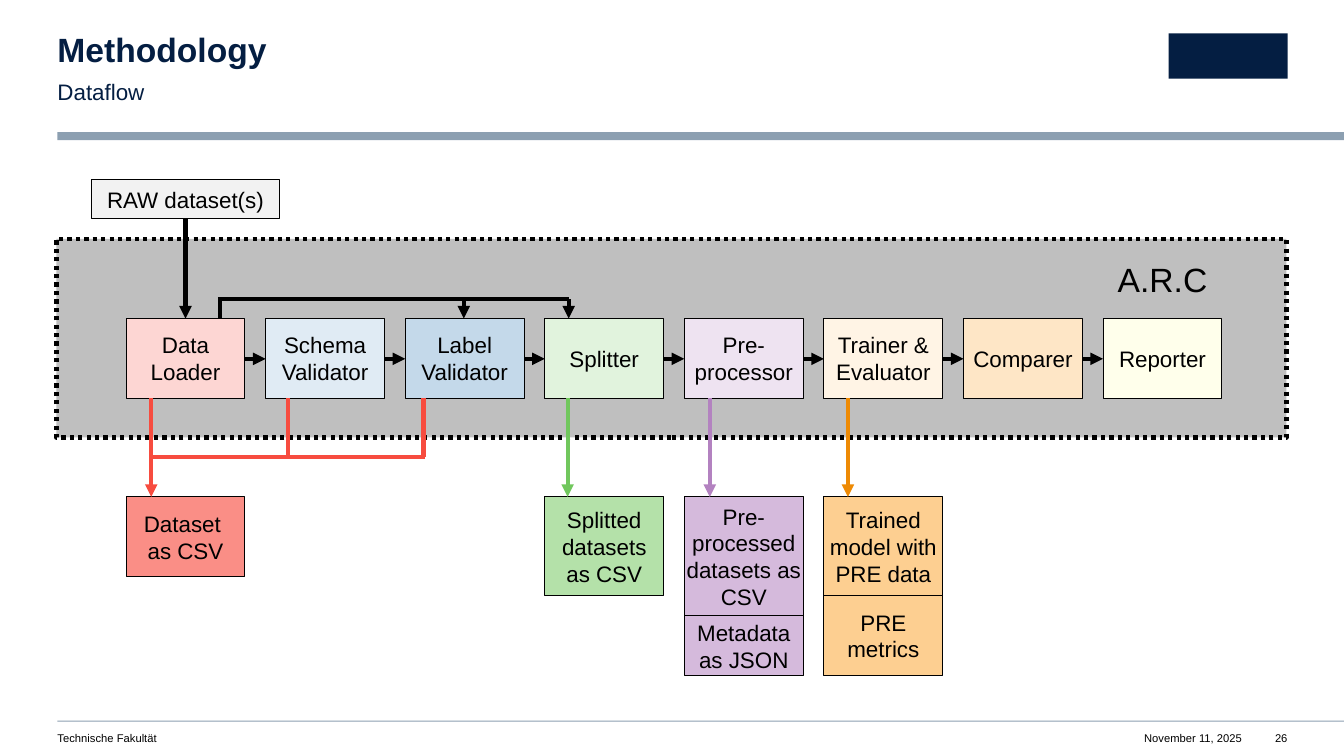
from pptx import Presentation
from pptx.dml.color import RGBColor
from pptx.enum.dml import MSO_LINE
from pptx.enum.shapes import MSO_CONNECTOR, MSO_SHAPE
from pptx.enum.text import MSO_ANCHOR, MSO_AUTO_SIZE, PP_ALIGN
from pptx.oxml.ns import qn
from pptx.util import Inches, Pt
from lxml.etree import SubElement

NAVY, BLACK, STEEL, GREY = "041E42", "000000", "8C9FB1", "BFBFBF"
RED, GREEN, PURPLE, ORANGE = "F74C3F", "71C75D", "B382C0", "EE8A04"

# Text, fill, side inset
STEPS = [
    ("Data Loader", "FDD6D3", 0.1),
    ("Schema\nValidator", "E0EBF4", 0.1),
    ("Label\nValidator", "C4D9EA", 0.1),
    ("Splitter", "E1F3DD", 0.1),
    ("Pre-\nprocessor", "EEE3F1", 0),
    ("Trainer &\nEvaluator", "FFF4E5", 0.1),
    ("Comparer", "FEE6C6", 0),
    ("Reporter", "FFFFEB", 0.1),
]
# Step number, fill, side inset, stacked (text, height)
RESULTS = [
    (0, "FA8E86", 0.1, [("Dataset \nas CSV", 0.79)]),
    (3, "B4E1A9", 0.1, [("Splitted datasets as CSV", 0.98)]),
    (4, "D5BADC", 0, [("Pre-processed datasets as CSV", 1.18),
                      ("Metadata as JSON", 0.59)]),
    (5, "FDCF91", 0, [("Trained model with PRE data", 0.98),
                      ("PRE metrics", 0.79)]),
]
DROPS = [(1.5, RED), (5.63, GREEN), (7.04, PURPLE), (8.41, ORANGE)]
JOINS = [2.86, 4.2]
SKIPS = [4.6, 5.64]
# Text, left, width, alignment
FOOTER = [
    ("Technische Fakultät", 0.57, 5.98, PP_ALIGN.LEFT),
    ("November 11, 2025", 11.12, 1.2, PP_ALIGN.RIGHT),
    ("26", 12.36, 0.41, PP_ALIGN.RIGHT),
]

LEFT, LAST, TOP, WIDE, HIGH = 1.25, 10.94, 3.16, 1.18, 0.79
PITCH = (LAST - LEFT) / (len(STEPS) - 1)
BASE, MID = TOP + HIGH, TOP + 0.4
RESULT_TOP, JOIN_Y, SKIP_Y = 4.93, 4.53, 2.97

deck = Presentation()
deck.slide_width, deck.slide_height = Inches(13.33), Inches(7.5)
slide = deck.slides.add_slide(deck.slide_layouts[1])
shapes = slide.shapes


def color(code):
    return RGBColor.from_string(code)


def write(shape, text, size=16, ink=BLACK, bold=False, align=PP_ALIGN.CENTER,
          anchor=MSO_ANCHOR.MIDDLE, side=0.1, edge=0.05):
    frame = shape.text_frame
    frame.word_wrap = True
    frame.auto_size = MSO_AUTO_SIZE.NONE
    frame.vertical_anchor = anchor
    frame.margin_left = frame.margin_right = Inches(side)
    frame.margin_top = frame.margin_bottom = Inches(edge)
    for i, line in enumerate(text.split("\n")):
        para = frame.add_paragraph() if i else frame.paragraphs[0]
        para.alignment = align
        run = para.add_run()
        run.text = line
        font = run.font
        font.name, font.size, font.bold = "Arial", Pt(size), bold
        font.color.rgb = color(ink)


def block(x, y, w, h, fill, line=None):
    """Add a filled rectangle, with an outline of the given width."""
    shape = shapes.add_shape(MSO_SHAPE.RECTANGLE, Inches(x), Inches(y),
                             Inches(w), Inches(h))
    shape.shadow.inherit = False
    shape.fill.solid()
    shape.fill.fore_color.rgb = color(fill)
    if line:
        shape.line.color.rgb = color(BLACK)
        shape.line.width = Pt(line)
    else:
        shape.line.fill.background()
    return shape


def card(text, x, y, h, fill, side=0.1, w=WIDE):
    write(block(x, y, w, h, fill, 0.75), text, side=side)


def link(x1, y1, x2, y2, ink=BLACK, head=True):
    """Draw a thick line, with an arrowhead at its end if head is set."""
    line = shapes.add_connector(MSO_CONNECTOR.STRAIGHT, Inches(x1), Inches(y1),
                                Inches(x2), Inches(y2))
    line.line.color.rgb = color(ink)
    line.line.width = Pt(3)
    props = line.element.spPr
    if head:
        SubElement(props.find(qn("a:ln")), qn("a:tailEnd"), type="triangle")
    SubElement(props, qn("a:effectLst"))


def place(shape, x, y, w, h):
    shape.left, shape.top = Inches(x), Inches(y)
    shape.width, shape.height = Inches(w), Inches(h)


# Header and footer
title, topic = shapes.title, slide.placeholders[1]
place(title, 0.57, 0.33, 7.49, 0.36)
place(topic, 0.57, 0.75, 7.49, 0.27)
plain = {"align": PP_ALIGN.LEFT, "anchor": MSO_ANCHOR.TOP, "side": 0, "edge": 0}
write(title, "Methodology", 24, NAVY, True, **plain)
write(topic, "Dataflow", 16, NAVY, **plain)
title.text_frame.paragraphs[0].line_spacing = 0.9
para = topic.text_frame.paragraphs[0]
props = para._p.get_or_add_pPr()
props.set("marL", "0")
props.set("indent", "0")
SubElement(props, qn("a:buNone"))
para.line_spacing, para.space_before = 1.1, Pt(0)

block(0.57, 1.31, 12.77, 0.08, STEEL)
block(0.57, 7.15, 12.77, 0.01, STEEL)
block(11.59, 0.33, 1.18, 0.45, NAVY)
for text, x, w, align in FOOTER:
    note = shapes.add_textbox(Inches(x), Inches(7.26), Inches(w), Inches(0.13))
    write(note, text, 8, **{**plain, "align": align})

# Pipeline
frame = block(0.56, 2.37, 12.2, 1.97, GREY, 3)
frame.line.dash_style = MSO_LINE.ROUND_DOT
label = shapes.add_textbox(Inches(LAST), Inches(2.37), Inches(WIDE), Inches(HIGH))
write(label, "A.R.C", 24)
for i, (text, fill, side) in enumerate(STEPS):
    x = LEFT + i * PITCH
    card(text, x, TOP, HIGH, fill, side)
    if i:
        link(x - PITCH + WIDE, MID, x, MID)

# Input and the path around the validators
card("RAW dataset(s)", 0.91, 1.78, 0.39, "F2F2F2", w=1.86)
link(1.84, 2.17, 1.84, TOP)
link(2.18, TOP, 2.18, SKIP_Y, head=False)
link(2.16, SKIP_Y, SKIPS[-1], SKIP_Y, head=False)
for x in SKIPS:
    link(x, SKIP_Y, x, TOP)

# Results
for i, fill, side, parts in RESULTS:
    y = RESULT_TOP
    for text, h in parts:
        card(text, LEFT + i * PITCH, y, h, fill, side)
        y += h
for x, ink in DROPS:
    link(x, BASE, x, RESULT_TOP, ink)
link(1.48, JOIN_Y, JOINS[-1] + 0.02, JOIN_Y, RED, False)
for x in JOINS:
    link(x, JOIN_Y, x, BASE, RED, False)

deck.save("out.pptx")
